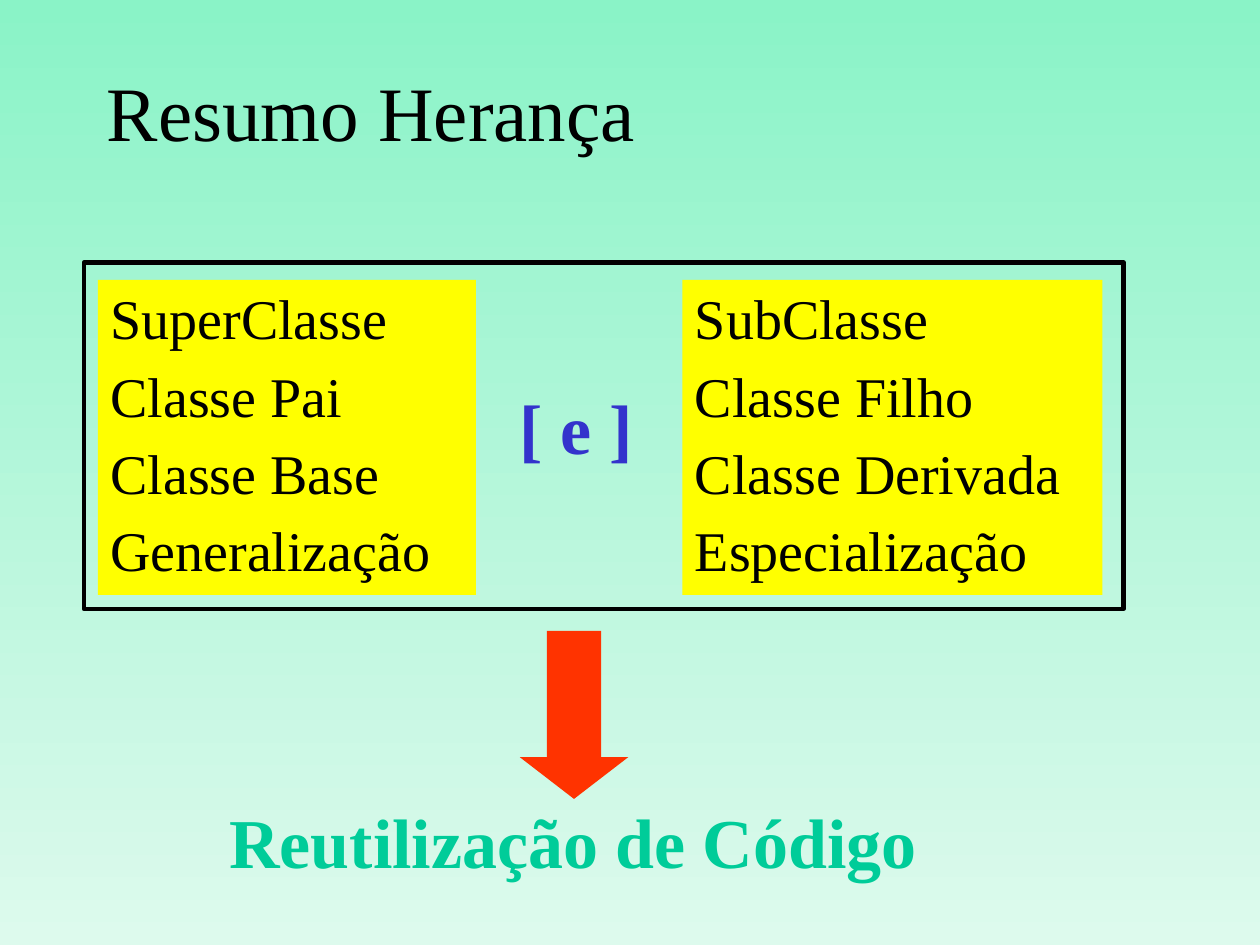
from pptx import Presentation
from pptx.dml.color import RGBColor
from pptx.enum.shapes import MSO_SHAPE
from pptx.enum.text import MSO_ANCHOR, PP_ALIGN
from pptx.util import Pt


def color(value):
    return RGBColor.from_string(value)


class SlideBuilder:
    font = "Times New Roman"

    def __init__(self, deck):
        self.page = deck.slides.add_slide(deck.slide_layouts[6])

    def background(self, top, bottom):
        fill = self.page.background.fill
        fill.gradient()
        fill.gradient_angle = 270
        for stop, value, position in zip(fill.gradient_stops, (top, bottom), (0, 1)):
            stop.color.rgb = color(value)
            stop.position = position

    def shape(self, kind, bounds, fill=None, line=None, width=2.5):
        shape = self.page.shapes.add_shape(kind, *map(Pt, bounds))
        shape.shadow.inherit = False
        if fill:
            shape.fill.solid()
            shape.fill.fore_color.rgb = color(fill)
        else:
            shape.fill.background()
        if line:
            shape.line.color.rgb = color(line)
            shape.line.width = Pt(width)
        else:
            shape.line.fill.background()
        return shape

    def text(self, bounds, text, size, ink="000000", bold=False,
             align=PP_ALIGN.LEFT, anchor=MSO_ANCHOR.TOP, wrap=True):
        box = self.page.shapes.add_textbox(*map(Pt, bounds))
        frame = box.text_frame
        frame.text = text
        frame.word_wrap = wrap
        frame.vertical_anchor = anchor
        for para in frame.paragraphs:
            para.alignment = align
            for span in para.runs:
                span.font.name = self.font
                span.font.size = Pt(size)
                span.font.bold = bold
                span.font.color.rgb = color(ink)
        return box

    def term_list(self, bounds, terms):
        box = self.text(bounds, "\n".join(terms), 32)
        box.fill.solid()
        box.fill.fore_color.rgb = color("FFFF00")
        frame = box.text_frame
        frame.margin_top = Pt(6.5)
        for index, para in enumerate(frame.paragraphs):
            para.line_spacing = 0.9
            para.space_before = Pt(9.6 if index else 0)


def main():
    deck = Presentation()
    deck.slide_width, deck.slide_height = Pt(720), Pt(540)
    slide = SlideBuilder(deck)
    slide.background("8AF3C7", "DDFAED")
    slide.text((54, 18, 612, 90), "Resumo Herança", 44, anchor=MSO_ANCHOR.MIDDLE)
    slide.term_list((56, 160, 216, 180),
                    ["SuperClasse", "Classe Pai", "Classe Base", "Generalização"])
    slide.term_list((390, 160, 240, 180),
                    ["SubClasse", "Classe Filho", "Classe Derivada", "Especialização"])
    arrow = slide.shape(MSO_SHAPE.DOWN_ARROW, (297, 360.5, 62, 96), fill="FF3300")
    arrow.adjustments[0] = 0.5
    arrow.adjustments[1] = 0.385
    slide.text((105, 453, 445, 55.5), "Reutilização de Código", 40, "00CC99",
               bold=True, align=PP_ALIGN.CENTER)
    slide.text((290, 216, 78.5, 55.5), "[ e ]", 40, "3333CC", bold=True, wrap=False)
    slide.shape(MSO_SHAPE.RECTANGLE, (48, 150, 594, 198), line="000000")
    deck.save("out.pptx")


if __name__ == "__main__":
    main()
